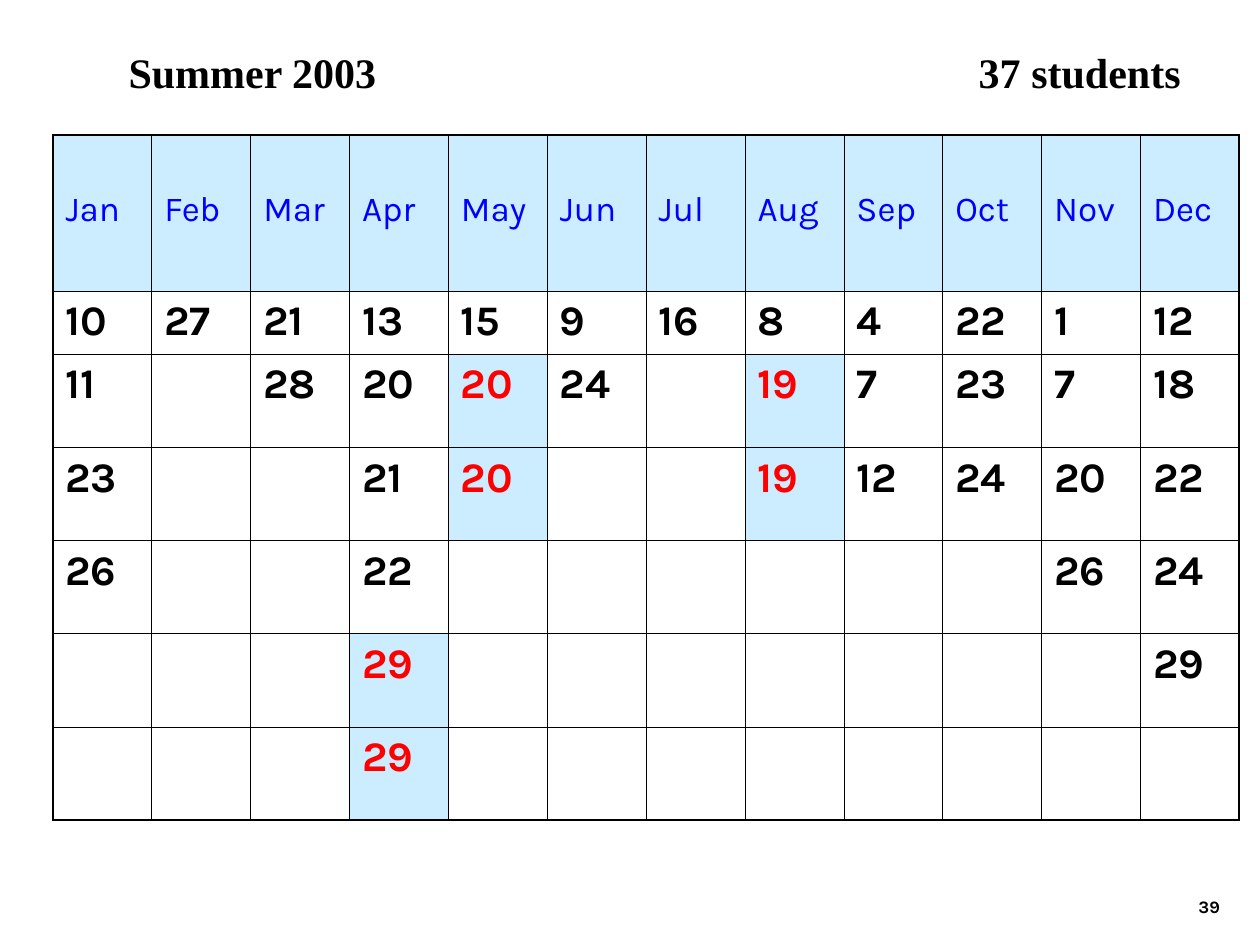
from lxml.etree import SubElement
from pptx import Presentation
from pptx.dml.color import RGBColor
from pptx.enum.text import MSO_ANCHOR as Anchor, MSO_AUTO_SIZE as AutoSize, PP_ALIGN as Align
from pptx.oxml.ns import qn
from pptx.util import Inches, Pt

BLACK, BLUE, RED, PALE_BLUE = "000000", "0000FF", "FF0000", "CCECFF"
THIN, THICK = Pt(0.45), Pt(1.08)

MONTHS = {
    "Jan": [10, 11, 23, 26],
    "Feb": [27],
    "Mar": [21, 28],
    "Apr": [13, 20, 21, 22, 29, 29],
    "May": [15, 20, 20],
    "Jun": [9, 24],
    "Jul": [16],
    "Aug": [8, 19, 19],
    "Sep": [4, 7, 12],
    "Oct": [22, 23, 24],
    "Nov": [1, 7, 20, 26],
    "Dec": [12, 18, 22, 24, 29],
}
ROW_HEIGHTS = [1.24, 0.5] + [0.74] * 5


def color(hex_value):
    return RGBColor.from_string(hex_value)


def write(frame, text, size=24, font="Karla", fill=BLACK, bold=True, align=Align.LEFT):
    paragraph = frame.paragraphs[0]
    paragraph.alignment = align
    run = paragraph.add_run()
    run.text = text
    run.font.size = Pt(size)
    run.font.name = font
    run.font.bold = bold
    run.font.color.rgb = color(fill)


def add_right_tab(paragraph, position):
    tabs = SubElement(paragraph._p.get_or_add_pPr(), qn("a:tabLst"))
    SubElement(tabs, qn("a:tab"), pos=str(position), algn="r")


def add_borders(cell, widths):
    """Draw black cell borders; widths maps the sides L, R, T, B to line widths."""
    properties = cell._tc.get_or_add_tcPr()
    for side in "LRTB":
        line = SubElement(properties, qn(f"a:ln{side}"), w=str(widths[side]))
        SubElement(SubElement(line, qn("a:solidFill")), qn("a:srgbClr"), val=BLACK)


def place_heading(slide, left, top, width, height):
    title = slide.shapes.title
    title.left, title.top, title.width, title.height = left, top, width, height
    frame = title.text_frame
    frame.word_wrap = True
    frame.auto_size = AutoSize.NONE
    frame.vertical_anchor = Anchor.TOP
    add_right_tab(frame.paragraphs[0], width - Inches(0.23))
    write(frame, "Summer 2003\t37 students", font="Times New Roman")


def place_calendar(slide, left, top, width, height):
    row_count, column_count = len(ROW_HEIGHTS), len(MONTHS)
    calendar = slide.shapes.add_table(
        row_count, column_count, left, top, width, height).table
    calendar.first_row = calendar.horz_banding = False
    for row, row_height in zip(calendar.rows, ROW_HEIGHTS):
        row.height = Inches(row_height)

    for c, (month, days) in enumerate(MONTHS.items()):
        calendar.columns[c].width = width // column_count
        for r in range(row_count):
            cell = calendar.cell(r, c)
            add_borders(cell, {
                "L": THICK if c == 0 else THIN,
                "R": THICK if c == column_count - 1 else THIN,
                "T": THICK if r == 0 else THIN,
                "B": THICK if r == row_count - 1 else THIN,
            })
            day = days[r - 1] if 0 < r <= len(days) else None
            repeated = day is not None and days.count(day) > 1
            if r == 0 or repeated:
                cell.fill.solid()
                cell.fill.fore_color.rgb = color(PALE_BLUE)
            else:
                cell.fill.background()
            if r == 0:
                cell.vertical_anchor = Anchor.MIDDLE
                cell.margin_bottom = Inches(0.1)
                write(cell.text_frame, month, size=20, fill=BLUE, bold=False)
            elif day is not None:
                write(cell.text_frame, str(day), fill=RED if repeated else BLACK)


def place_page_number(slide, left, top, width, height):
    frame = slide.shapes.add_textbox(left, top, width, height).text_frame
    frame.word_wrap = True
    frame.vertical_anchor = Anchor.BOTTOM
    write(frame, "39", size=10, align=Align.RIGHT)


def main():
    deck = Presentation()
    deck.slide_width, deck.slide_height = Inches(10), Inches(7.5)
    slide = deck.slides.add_slide(deck.slide_layouts[5])
    place_page_number(slide, Inches(7.7), Inches(6.83), Inches(2.08), Inches(0.5))
    place_heading(slide, Inches(0.92), Inches(0.32), Inches(8.58), Inches(0.5))
    place_calendar(slide, Inches(0.42), Inches(1.07), Inches(9.42),
                   Inches(sum(ROW_HEIGHTS)))
    deck.save("out.pptx")


if __name__ == "__main__":
    main()
